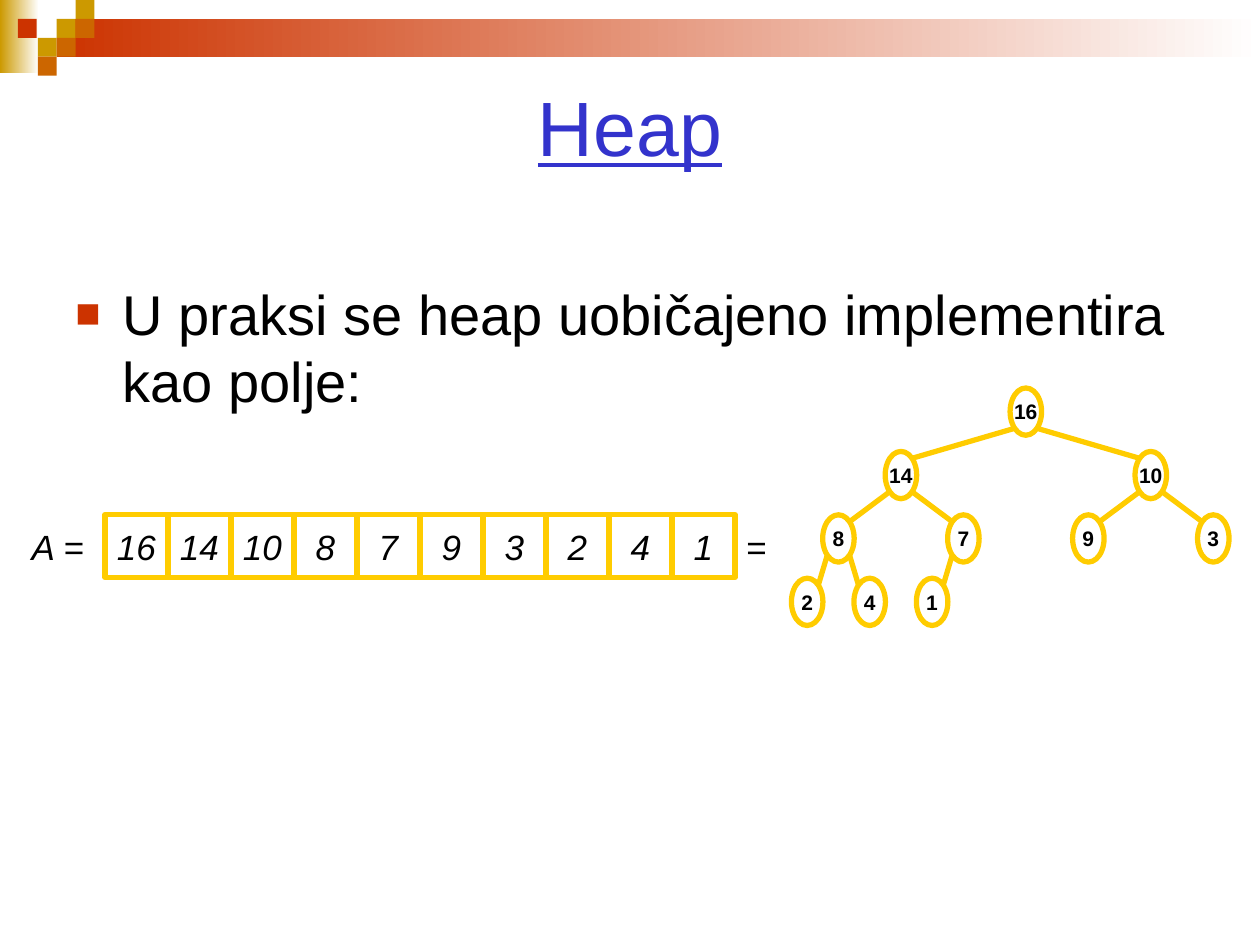
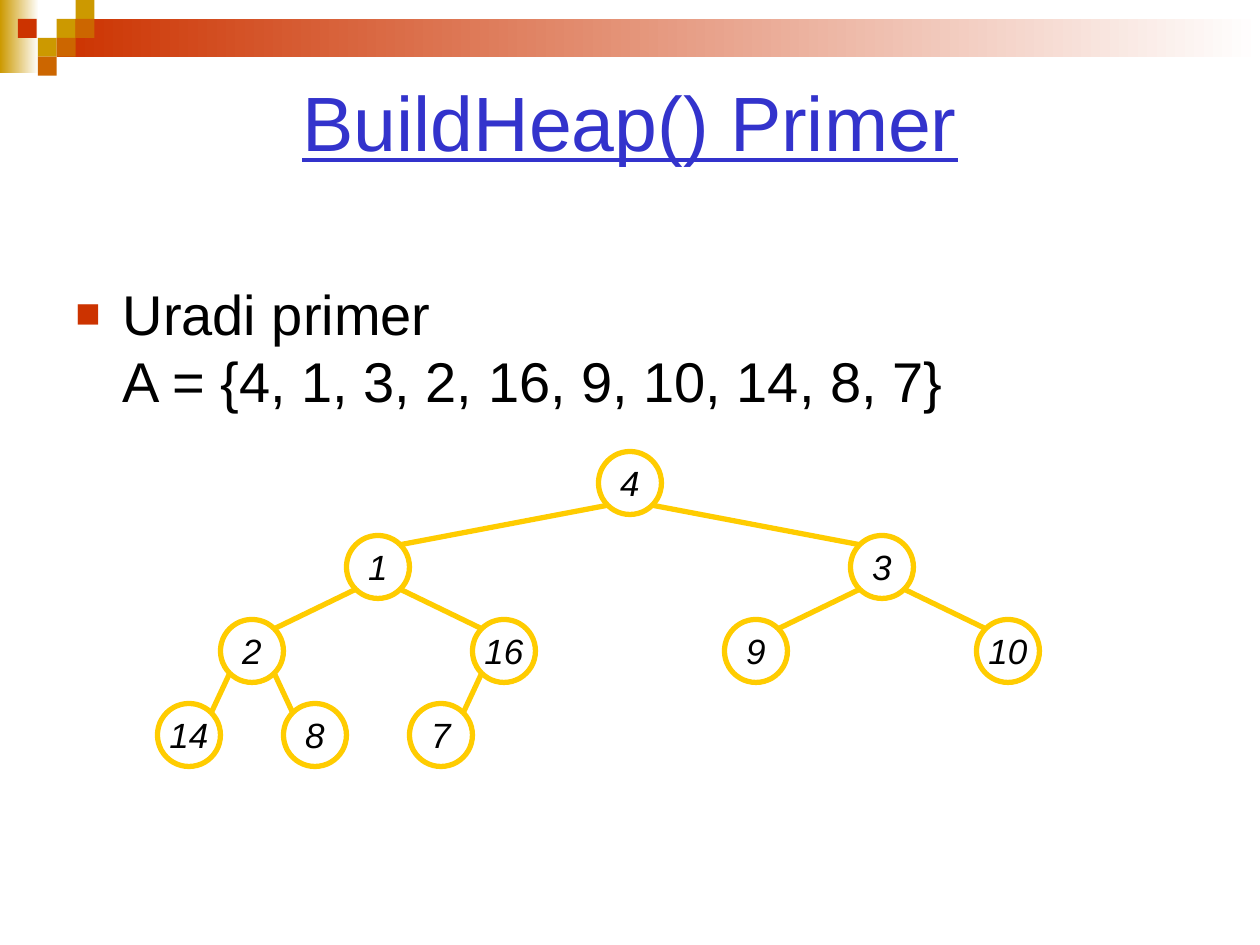
from math import sqrt

from lxml import etree
from pptx import Presentation
from pptx.dml.color import RGBColor
from pptx.enum.shapes import MSO_CONNECTOR, MSO_SHAPE
from pptx.enum.text import MSO_ANCHOR, MSO_AUTO_SIZE, PP_ALIGN
from pptx.oxml.ns import qn
from pptx.util import Pt

RECTANGLE, OVAL = MSO_SHAPE.RECTANGLE, MSO_SHAPE.OVAL
STRAIGHT = MSO_CONNECTOR.STRAIGHT
MIDDLE, TOP = MSO_ANCHOR.MIDDLE, MSO_ANCHOR.TOP
CENTER, LEFT = PP_ALIGN.CENTER, PP_ALIGN.LEFT
NO_FIT = MSO_AUTO_SIZE.NONE

WHITE = RGBColor(0xFF, 0xFF, 0xFF)
BLACK = RGBColor(0x00, 0x00, 0x00)
TITLE_BLUE = RGBColor(0x33, 0x33, 0xCC)
YELLOW = RGBColor(0xFF, 0xCC, 0x00)
GOLD = RGBColor(0xCC, 0x99, 0x00)
ORANGE = RGBColor(0xCC, 0x66, 0x00)
RED = RGBColor(0xCC, 0x33, 0x00)
FONT = "Arial"

PX = 7620
SLIDE_SIZE = (1200, 900)
BODY_BOX = (60, 260, 1080, 510)
BULLET_INDENT = 45

BANDS = [((0, 0, 37, 70), GOLD), ((54, 18, 1146, 36), RED)]
SQUARE = 18
SQUARES = [
    (54, 18, GOLD), (72, 0, GOLD), (72, 18, ORANGE), (36, 36, GOLD),
    (17, 18, RED), (54, 36, ORANGE), (36, 54, ORANGE),
]

SLIDES = [
    {
        "title": "Heap",
        "title_height": 120,
        "body": "U praksi se heap uobičajeno implementira kao polje:",
        "values": [16, 14, 10, 8, 7, 9, 3, 2, 4, 1],
        "tree": {"root": (977, 392), "spread": 119, "pitch": 60.4, "node": (30, 45)},
        "style": {"size": 12, "bold": True},
        "array": {"left": 100, "top": 490, "cell": 60},
        "labels": [("A =", (10, 490, 90, 60)), ("=", (700, 490, 40, 60))],
    },
    {
        "title": "BuildHeap() Primer",
        "title_height": 110,
        "body": "Uradi primer\vA = {4, 1, 3, 2, 16, 9, 10, 14, 8, 7}",
        "values": [4, 1, 3, 2, 16, 9, 10, 14, 8, 7],
        "tree": {"root": (600, 460), "spread": 240, "pitch": 80, "node": (60, 60)},
        "style": {"size": 20, "italic": True},
    },
]


def px(*lengths):
    return [round(length * PX) for length in lengths]


def write(shape, text, size, color=BLACK, align=CENTER, anchor=MIDDLE, wrap=False,
          bold=False, italic=False, underline=False):
    frame = shape.text_frame
    frame.auto_size = NO_FIT
    frame.word_wrap = wrap
    frame.vertical_anchor = anchor
    paragraph = frame.paragraphs[0]
    paragraph.text = text
    paragraph.alignment = align
    font = paragraph.font
    font.name, font.size, font.color.rgb = FONT, Pt(size), color
    font.bold, font.italic, font.underline = bold, italic, underline
    return paragraph


def add_bullet(paragraph):
    properties = paragraph._p.get_or_add_pPr()
    indent = px(BULLET_INDENT)[0]
    properties.set("marL", str(indent))
    properties.set("indent", str(-indent))
    bullet_color = etree.SubElement(properties, qn("a:buClr"))
    etree.SubElement(bullet_color, qn("a:srgbClr"), val=str(RED))
    etree.SubElement(properties, qn("a:buSzPct"), val="75000")
    etree.SubElement(properties, qn("a:buFont"), typeface=FONT)
    etree.SubElement(properties, qn("a:buChar"), char="■")


def add_band(page, box, color, fading=False):
    band = page.shapes.add_shape(RECTANGLE, *px(*box))
    band.shadow.inherit = False
    band.line.fill.background()
    if fading:
        band.fill.gradient()
        band.fill.gradient_angle = 0
        for stop, stop_color in zip(band.fill.gradient_stops, (color, WHITE)):
            stop.color.rgb = stop_color
    else:
        band.fill.solid()
        band.fill.fore_color.rgb = color
    return band


def decorate_master(deck, page):
    parts = [add_band(page, box, color, True) for box, color in BANDS]
    parts += [add_band(page, (left, top, SQUARE, SQUARE), color)
              for left, top, color in SQUARES]
    master_tree = deck.slide_master.shapes._spTree
    for position, part in enumerate(parts, start=2):
        master_tree.insert(position, part._element)


def add_cell(page, kind, box, value, style):
    cell = page.shapes.add_shape(kind, *px(*box))
    cell.shadow.inherit = False
    cell.fill.solid()
    cell.fill.fore_color.rgb = WHITE
    cell.line.color.rgb = YELLOW
    cell.line.width = Pt(3)
    write(cell, str(value), **style)


def add_edge(page, start, end):
    edge = page.shapes.add_connector(STRAIGHT, *px(*start, *end))
    edge.line.color.rgb = YELLOW
    edge.line.width = Pt(3)
    etree.SubElement(edge._element.spPr, qn("a:effectLst"))


def add_tree(page, values, style, root, spread, pitch, node):
    width, height = node
    centers = [root]
    for index in range(1, len(values)):
        x, y = centers[(index - 1) // 2]
        depth = (index + 1).bit_length() - 1
        side = -1 if index % 2 else 1
        centers.append((x + side * spread / 2 ** (depth - 1), y + pitch))
    for (x, y), value in zip(centers, values):
        add_cell(page, OVAL, (x - width / 2, y - height / 2, width, height), value, style)
    reach_x, reach_y = width / sqrt(8), height / sqrt(8)
    for index in range(1, len(values)):
        parent_x, parent_y = centers[(index - 1) // 2]
        x, y = centers[index]
        side = -1 if index % 2 else 1
        add_edge(page, (parent_x + side * reach_x, parent_y + reach_y),
                 (x - side * reach_x, y - reach_y))


def add_array(page, values, left, top, cell):
    for index, value in enumerate(values):
        add_cell(page, RECTANGLE, (left + index * cell, top, cell, cell), value,
                 {"size": 20, "italic": True})


def add_slide(deck, content):
    page = deck.slides.add_slide(deck.slide_layouts[5])
    title = page.shapes.title
    title.left, title.top, title.width, title.height = px(60, 60, 1080, content["title_height"])
    write(title, content["title"], 44, TITLE_BLUE, wrap=True, underline=True)
    body = page.shapes.add_textbox(*px(*BODY_BOX))
    body.text_frame.word_wrap = True
    add_bullet(body.text_frame.paragraphs[0])
    write(body, content["body"], 32, align=LEFT, anchor=TOP, wrap=True)
    add_tree(page, content["values"], content["style"], **content["tree"])
    if "array" in content:
        add_array(page, content["values"], **content["array"])
    for text, box in content.get("labels", []):
        write(page.shapes.add_textbox(*px(*box)), text, 20, italic=True)
    return page


def main():
    deck = Presentation()
    deck.slide_width, deck.slide_height = px(*SLIDE_SIZE)
    pages = [add_slide(deck, content) for content in SLIDES]
    decorate_master(deck, pages[0])
    deck.save("out.pptx")


if __name__ == "__main__":
    main()
